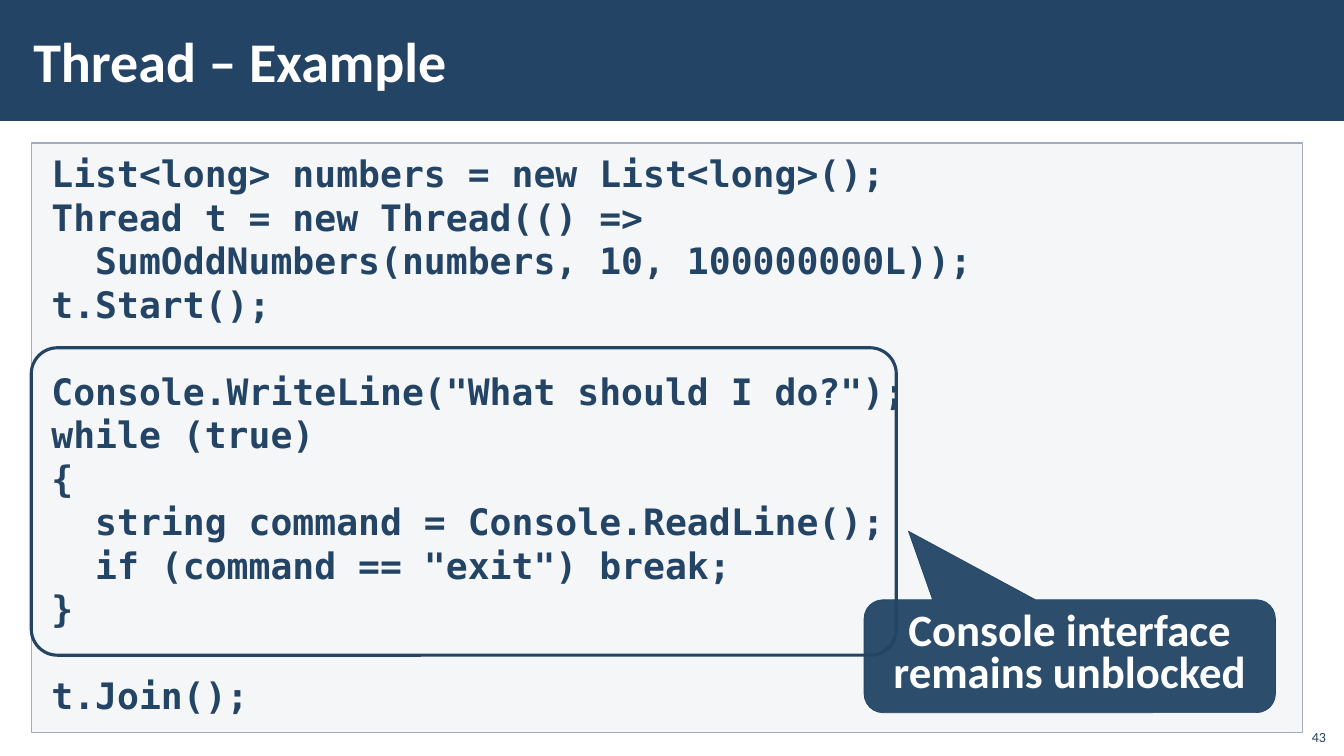
"""Build the "Thread – Example" slide with its code listing and callout."""
from dataclasses import dataclass

from lxml import etree
from pptx import Presentation
from pptx.dml.color import RGBColor
from pptx.enum.shapes import MSO_SHAPE
from pptx.enum.text import MSO_ANCHOR, PP_ALIGN
from pptx.oxml.ns import qn
from pptx.util import Inches, Pt


@dataclass(frozen=True)
class Theme:
    navy: RGBColor = RGBColor.from_string("234465")
    white: RGBColor = RGBColor.from_string("FFFFFF")
    panel: RGBColor = RGBColor.from_string("C2C7D2")
    panel_edge: RGBColor = RGBColor.from_string("A3ABBC")
    text_font: str = "Calibri"
    code_font: str = "DejaVu Sans Mono"
    title_size: int = 40
    callout_size: int = 32
    code_size: int = 26
    number_size: int = 10
    code_leading: float = 31.1
    callout_leading: int = 30


theme = Theme()


def write(shape, text, size, color, font=theme.text_font, bold=True,
          align=PP_ALIGN.LEFT, anchor=MSO_ANCHOR.TOP, insets=(0.1, 0.05),
          leading=None):
    """Fill a shape with lines of text; an empty line becomes space before the next."""
    frame = shape.text_frame
    frame.word_wrap = True
    frame.vertical_anchor = anchor
    frame.margin_left = frame.margin_right = Inches(insets[0])
    frame.margin_top = frame.margin_bottom = Inches(insets[1])
    for number, block in enumerate(text.split("\n\n")):
        for row, line in enumerate(block.split("\n")):
            first = number == row == 0
            paragraph = frame.paragraphs[0] if first else frame.add_paragraph()
            paragraph.text = line
            paragraph.alignment = align
            if leading:
                paragraph.line_spacing = Pt(leading)
            if number and row == 0:
                paragraph.space_before = Pt(leading)
            paragraph.font.name = font
            paragraph.font.size = Pt(size)
            paragraph.font.bold = bold
            paragraph.font.color.rgb = color


def add_box(preset, box, fill=None, opacity=100, line=None, width=1):
    """Add a flat preset shape with an optional fill and outline."""
    shape = slide.shapes.add_shape(preset, *map(Inches, box))
    shape.shadow.inherit = False
    if fill is None:
        shape.fill.background()
    else:
        shape.fill.solid()
        shape.fill.fore_color.rgb = fill
        if opacity < 100:
            color = shape.element.spPr.find(qn("a:solidFill"))[0]
            etree.SubElement(color, qn("a:alpha"), val=str(opacity * 1000))
    if line is None:
        shape.line.fill.background()
    else:
        shape.line.color.rgb = line
        shape.line.width = Pt(width)
    return shape


deck = Presentation()
deck.slide_width, deck.slide_height = Inches(13.33), Inches(7.5)
slide = deck.slides.add_slide(deck.slide_layouts[5])

title = slide.shapes.title
title.left, title.top = Inches(0.21), Inches(0.11)
title.width, title.height = Inches(10.63), Inches(0.97)
write(title, "Thread – Example", theme.title_size, theme.white,
      anchor=MSO_ANCHOR.MIDDLE, insets=(0.12, 0.04))

header = add_box(MSO_SHAPE.RECTANGLE, (0, 0, 13.33, 1.2), fill=theme.navy)
title.element.addprevious(header.element)

listing = add_box(MSO_SHAPE.RECTANGLE, (0.31, 1.42, 12.61, 5.85),
                  fill=theme.panel, opacity=15, line=theme.panel_edge)
code = """List<long> numbers = new List<long>();
Thread t = new Thread(() =>
  SumOddNumbers(numbers, 10, 100000000L));
t.Start();

Console.WriteLine("What should I do?");
while (true)
{
  string command = Console.ReadLine();
  if (command == "exit") break;
}

t.Join();"""
write(listing, code, theme.code_size, theme.navy, font=theme.code_font,
      insets=(0.2, 0.08), leading=theme.code_leading)

console_loop = add_box(MSO_SHAPE.ROUNDED_RECTANGLE, (0.31, 3.45, 8.58, 3.05),
                       line=theme.navy, width=2.25)
console_loop.adjustments[0] = 0.085

unblocked_note = add_box(MSO_SHAPE.ROUNDED_RECTANGULAR_CALLOUT,
                         (8.57, 5.95, 4.08, 1.12), fill=theme.navy,
                         opacity=95, line=theme.navy, width=0.5)
for index, value in enumerate((-0.392, -1.107, 0.167)):
    unblocked_note.adjustments[index] = value
write(unblocked_note, "Console interface\nremains unblocked",
      theme.callout_size, theme.white, align=PP_ALIGN.CENTER,
      insets=(0.1, 0.08), leading=theme.callout_leading)

page_number = slide.shapes.add_textbox(Inches(12.85), Inches(7.12),
                                       Inches(0.4), Inches(0.32))
write(page_number, "43", theme.number_size, theme.navy, bold=False,
      align=PP_ALIGN.RIGHT, anchor=MSO_ANCHOR.BOTTOM)

deck.save("out.pptx")
